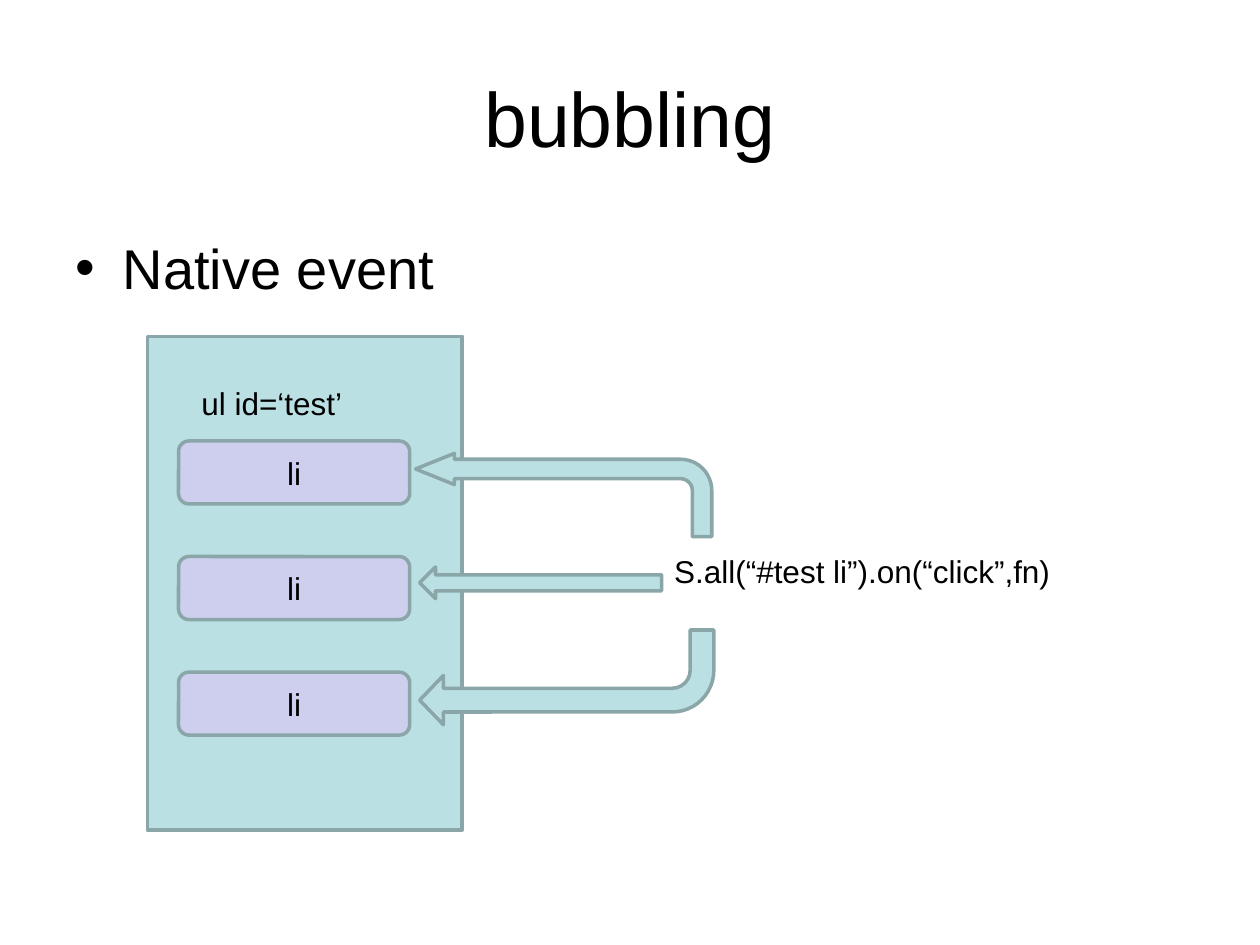
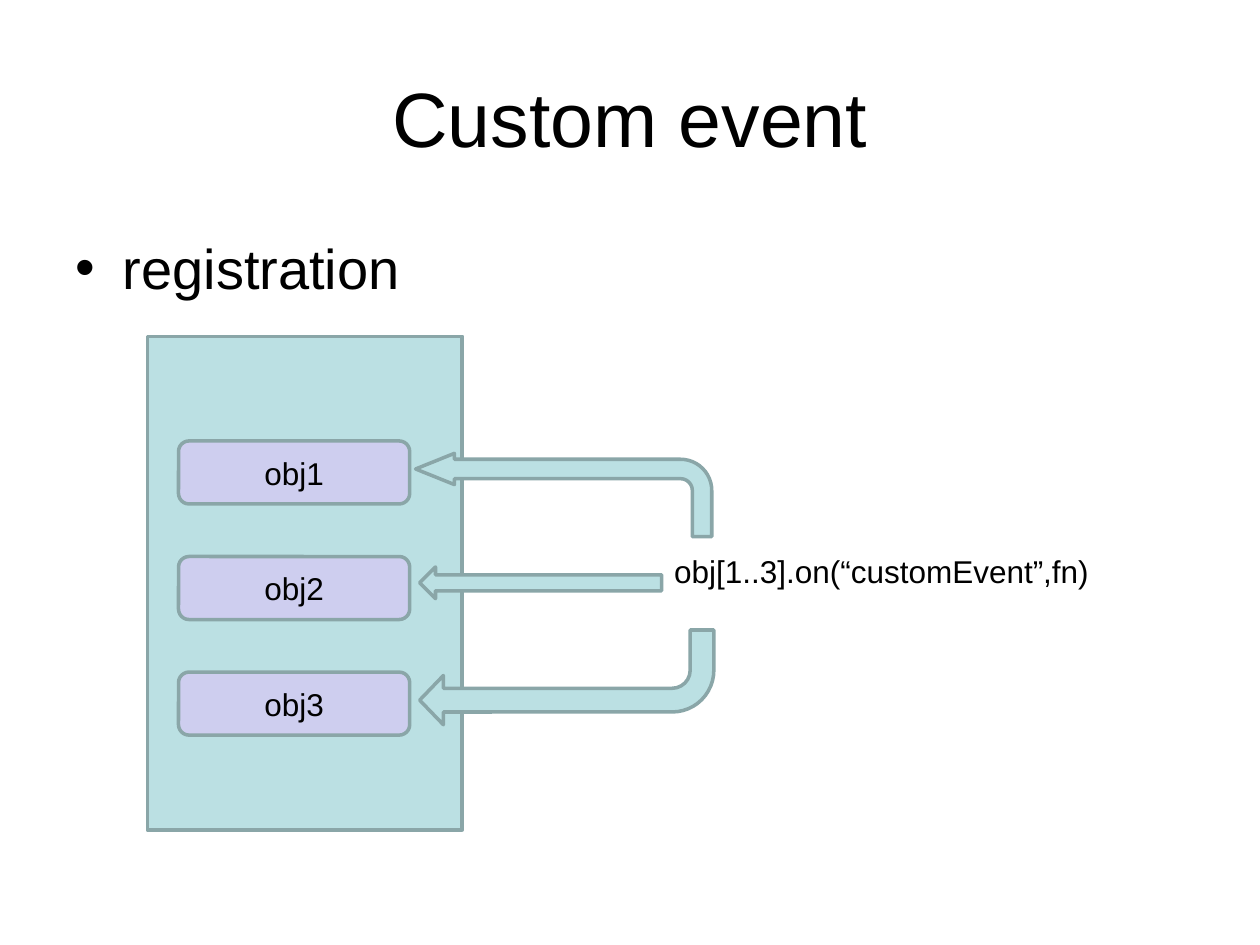
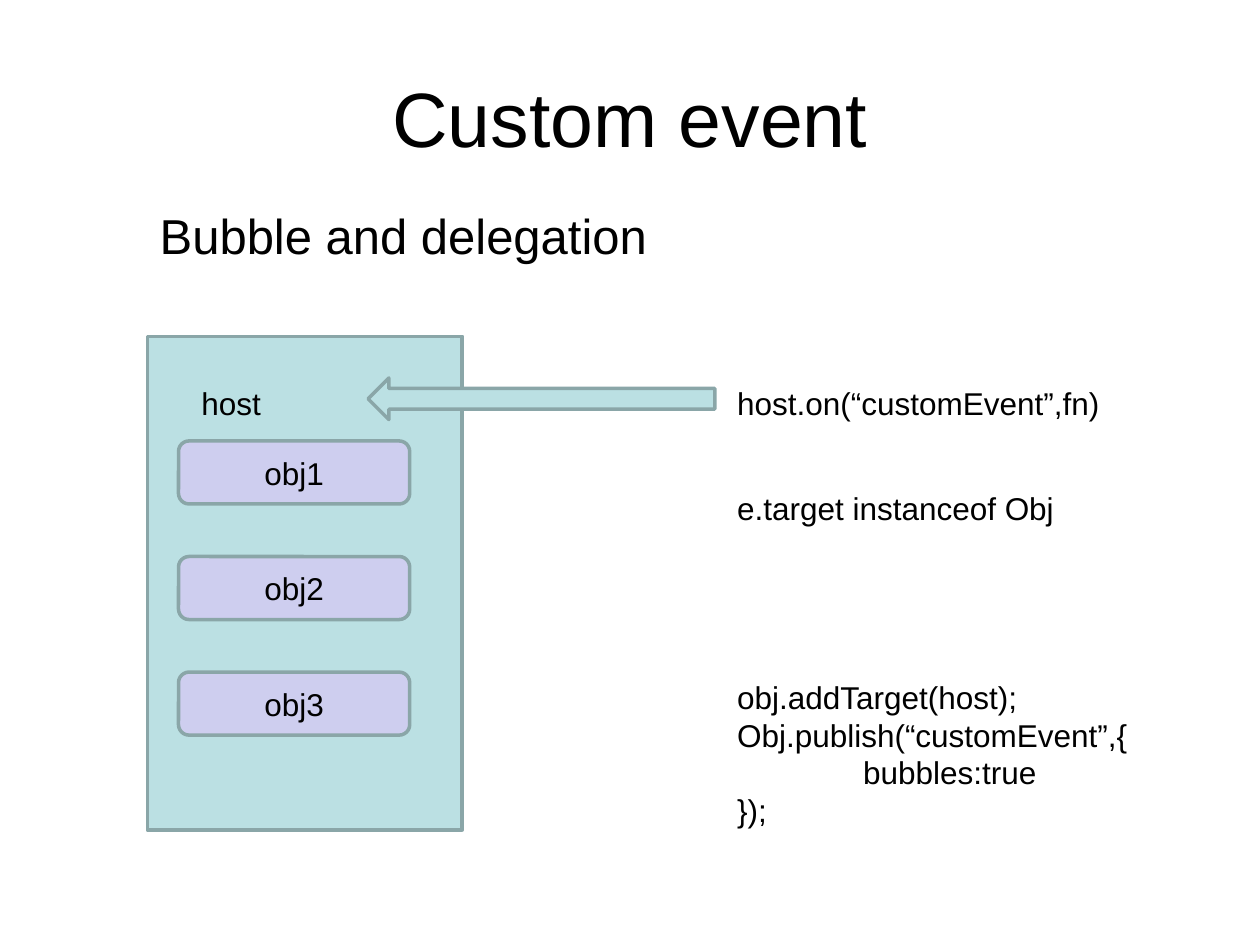
from pptx import Presentation
from pptx.dml.color import RGBColor
from pptx.enum.shapes import MSO_SHAPE as Form
from pptx.enum.text import MSO_ANCHOR as Anchor, MSO_AUTO_SIZE as Fit, PP_ALIGN as Align
from pptx.oxml.ns import qn
from pptx.util import Cm, Pt
from lxml.etree import SubElement

FONT = "Arial"
INK = "000000"
TEAL = "BBE0E3"
LILAC = "CECEEF"
EDGE = "8AA6A8"
OBJS = ["obj1", "obj2", "obj3"]


def color(code):
    return RGBColor.from_string(code)


def place(shape, left, top, width, height):
    shape.left, shape.top = Cm(left), Cm(top)
    shape.width, shape.height = Cm(width), Cm(height)


def add_bullet(para):
    props = para._p.get_or_add_pPr()
    props.set("marL", str(Cm(0.95)))
    props.set("indent", str(Cm(-0.95)))
    SubElement(props, qn("a:buFont"), typeface=FONT)
    SubElement(props, qn("a:buChar"), char="•")


def add_tab(para):
    tabs = SubElement(para._p.get_or_add_pPr(), qn("a:tabLst"))
    SubElement(tabs, qn("a:tab"), pos=str(Cm(2.54)), algn="l")


def write(shape, text, size=18, align=Align.LEFT, anchor=Anchor.TOP, bullet=False, fit=Fit.NONE):
    frame = shape.text_frame
    frame.text = text
    frame.word_wrap = True
    frame.auto_size = fit
    frame.vertical_anchor = anchor
    for para in frame.paragraphs:
        if bullet:
            add_bullet(para)
        if "\t" in para.text:
            add_tab(para)
        para.alignment = align
        para.space_before = Pt(0)
        para.font.name = FONT
        para.font.size = Pt(size)
        para.font.color.rgb = color(INK)


def add_note(shapes, text, left, top, width, height=1.02, size=18):
    box = shapes.add_textbox(Cm(left), Cm(top), Cm(width), Cm(height))
    write(box, text, size=size, fit=Fit.SHAPE_TO_FIT_TEXT)


def add_form(shapes, form, left, top, width, height, fill=TEAL):
    shape = shapes.add_shape(form, Cm(left), Cm(top), Cm(width), Cm(height))
    shape.shadow.inherit = False
    shape.fill.solid()
    shape.fill.fore_color.rgb = color(fill)
    shape.line.color.rgb = color(EDGE)
    shape.line.width = Pt(2)
    return shape


def add_bend(shapes, left, top, width, height, ratios):
    arrow = add_form(shapes, Form.BENT_ARROW, left, top, width, height)
    for index, ratio in enumerate(ratios):
        arrow.adjustments[index] = ratio
    return arrow


def add_panel(slide, items, label=None):
    shapes = slide.shapes.add_group_shape().shapes
    add_form(shapes, Form.RECTANGLE, 2.97, 6.78, 6.35, 9.95)
    for row, item in enumerate(items):
        box = add_form(shapes, Form.ROUNDED_RECTANGLE, 3.6, 8.89 + row * 2.33, 4.66, 1.27, fill=LILAC)
        write(box, item, align=Align.CENTER, anchor=Anchor.MIDDLE)
    if label:
        add_note(shapes, label, 3.81, 7.62, 4.45)


def add_slide(deck, title, point=None):
    slide = deck.slides.add_slide(deck.slide_layouts[1 if point else 5])
    head = slide.shapes.title
    place(head, 1.27, 0.76, 22.86, 3.18)
    write(head, title, size=44, align=Align.CENTER, anchor=Anchor.MIDDLE)
    if point:
        body = slide.placeholders[1]
        place(body, 1.27, 4.45, 22.86, 12.57)
        write(body, point, size=32, bullet=True)
        body.text_frame.margin_top = Cm(0.25)
    return slide


def add_fan(slide, code):
    shapes = slide.shapes
    add_note(shapes, code, 13.34, 11, 9.32)
    upper = add_bend(shapes, 8.38, 9.14, 5.97, 1.68, [0.31, 0.25, 0.62, 0.5])
    for index, ratio in enumerate([0.31, 0.25, 0.62, 0.5]):
        upper.adjustments[index] = ratio * 0.75
    upper._element.spPr.xfrm.set("flipH", "1")
    add_form(shapes, Form.LEFT_ARROW, 8.46, 11.43, 4.88, 0.64)
    lower = add_bend(shapes, 8.46, 12.7, 5.93, 1.91, [0.25, 0.26, 0.25, 0.44])
    lower.rotation = 180


def main():
    deck = Presentation()
    deck.slide_width, deck.slide_height = Cm(25.4), Cm(19.05)

    native = add_slide(deck, "bubbling", "Native event")
    add_panel(native, ["li"] * 3, "ul id=‘test’")
    add_fan(native, "S.all(“#test li”).on(“click”,fn)")

    custom = add_slide(deck, "Custom event", "registration")
    add_panel(custom, OBJS)
    add_fan(custom, "obj[1..3].on(“customEvent”,fn)")

    bubble = add_slide(deck, "Custom event")
    shapes = bubble.shapes
    add_panel(bubble, OBJS, "host")
    add_note(shapes, "host.on(“customEvent”,fn)", 14.61, 7.62, 9.32)
    add_form(shapes, Form.LEFT_ARROW, 7.42, 7.62, 6.99, 0.84)
    add_note(shapes, "e.target instanceof Obj", 14.61, 9.73, 8.26)
    publish = "obj.addTarget(host);\nObj.publish(“customEvent”,{\n\tbubbles:true\n});"
    add_note(shapes, publish, 14.61, 13.54, 8.46, 3.33)
    add_note(shapes, "Bubble and delegation", 2.97, 4.01, 14.6, 1.45, size=28)

    deck.save("out.pptx")


if __name__ == "__main__":
    main()
